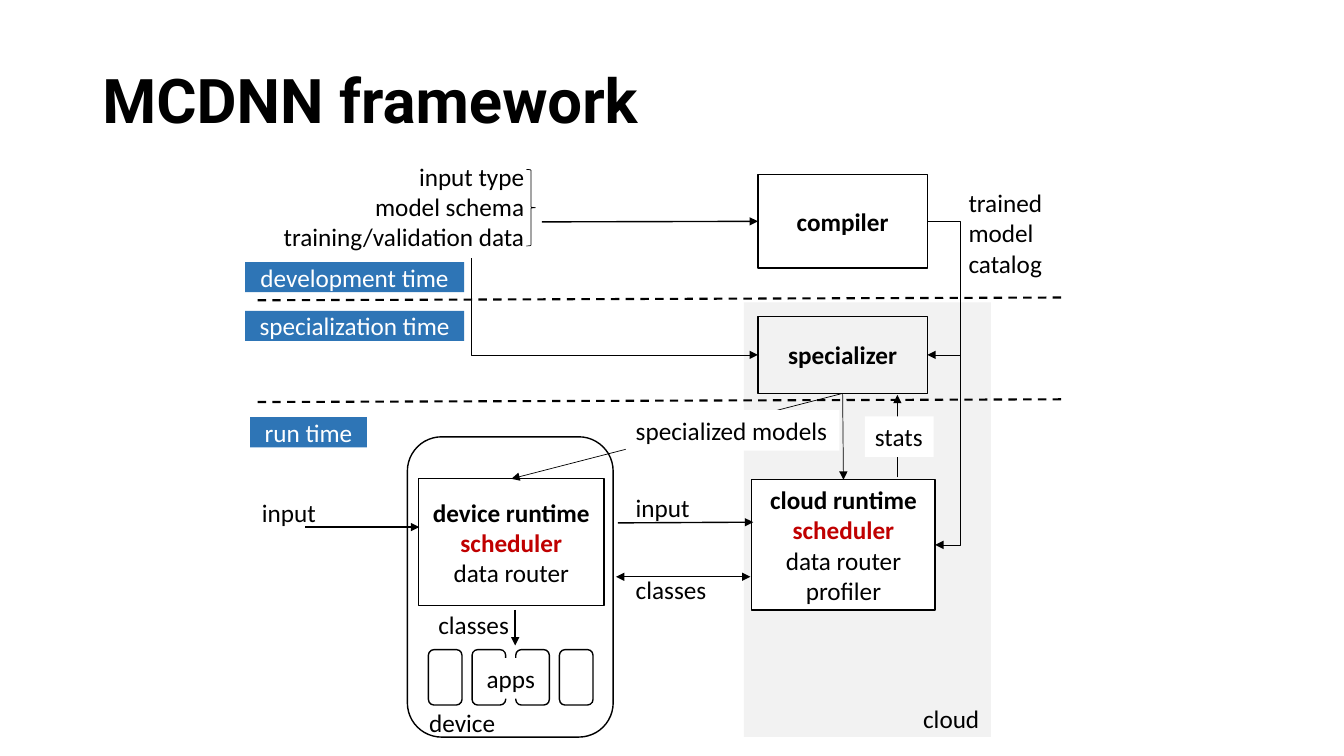
"""Build the MCDNN framework diagram slide."""
from lxml import etree
from pptx import Presentation
from pptx import util as u
from pptx.dml.color import RGBColor
from pptx.enum import dml, shapes, text
from pptx.oxml.ns import qn

COLORS = {"black": "000000", "white": "FFFFFF", "blue": "2E75B6",
          "gray": "F2F2F2", "red": "C00000"}
RECT = shapes.MSO_SHAPE.RECTANGLE
ROUND = shapes.MSO_SHAPE.ROUNDED_RECTANGLE
LEFT, CENTER, RIGHT = (text.PP_ALIGN.LEFT, text.PP_ALIGN.CENTER,
                       text.PP_ALIGN.RIGHT)
TOP_SIDE, LEFT_SIDE, BOTTOM_SIDE, RIGHT_SIDE = range(4)


def rgb(name):
    return RGBColor.from_string(COLORS[name])


def style(p, size=18, font="Calibri", color="black", bold=False):
    for r in p.runs:
        r.font.size = u.Pt(size)
        r.font.name = font
        r.font.bold = bold
        r.font.color.rgb = rgb(color)


def write(sp, lines, align, anchor, wrap, color="black", bold=(), red=()):
    tf = sp.text_frame
    tf.text = "\n".join(lines)
    tf.word_wrap = wrap
    tf.vertical_anchor = anchor
    for p in tf.paragraphs:
        p.alignment = align
        style(p, color="red" if p.text in red else color, bold=p.text in bold)


def add_box(s, at, fill=None, line=None, kind=RECT):
    sp = s.shapes.add_shape(kind, *map(u.Pt, at))
    sp.shadow.inherit = False
    if fill:
        sp.fill.solid()
        sp.fill.fore_color.rgb = rgb(fill)
    else:
        sp.fill.background()
    if line:
        sp.line.color.rgb = rgb("black")
        sp.line.width = u.Pt(line)
    else:
        sp.line.fill.background()
    return sp


def add_module(s, at, lines, fill=None):
    sp = add_box(s, at, fill, line=1)
    write(sp, lines, CENTER, text.MSO_ANCHOR.MIDDLE, True,
          bold=(lines[0], "scheduler"), red=("scheduler",))
    return sp


def add_phase(s, at, label):
    sp = add_box(s, at, "blue")
    write(sp, [label], CENTER, text.MSO_ANCHOR.MIDDLE, True, color="white")


def add_label(s, at, lines, align=LEFT, fill=None):
    if fill:
        sp = add_box(s, at, fill)
    else:
        sp = s.shapes.add_textbox(*map(u.Pt, at))
    write(sp, lines, align, text.MSO_ANCHOR.TOP, False)


def add_line(s, start, end, width=1.0, heads=("tailEnd",), dashed=False,
             kind=shapes.MSO_CONNECTOR.STRAIGHT, begin=None, finish=None):
    c = s.shapes.add_connector(kind, *map(u.Pt, start + end))
    if begin:
        c.begin_connect(*begin)
    if finish:
        c.end_connect(*finish)
    c.line.color.rgb = rgb("black")
    c.line.width = u.Pt(width)
    if dashed:
        c.line.dash_style = dml.MSO_LINE.DASH
    ln = c.line._get_or_add_ln()
    for head in heads:
        etree.SubElement(ln, qn("a:" + head), type="triangle")
    etree.SubElement(c._element.spPr, qn("a:effectLst"))
    return c


def add_elbow(s, start, end, bend_x, **joins):
    c = add_line(s, start, end, 0.5, kind=shapes.MSO_CONNECTOR.ELBOW, **joins)
    ratio = (u.Pt(bend_x) - c.begin_x) / (c.end_x - c.begin_x)
    geom = c._element.spPr.find(qn("a:prstGeom"))
    guides = geom.find(qn("a:avLst"))
    if guides is None:
        guides = etree.SubElement(geom, qn("a:avLst"))
    etree.SubElement(guides, qn("a:gd"), name="adj1",
                     fmla=f"val {round(ratio * 100000)}")


def add_title(s, title):
    sp = s.shapes.title
    sp.left, sp.top, sp.width, sp.height = map(u.Pt, (66, 27, 828, 94.5))
    tf = sp.text_frame
    tf.text = title
    tf.auto_size = text.MSO_AUTO_SIZE.NONE
    tf.vertical_anchor = text.MSO_ANCHOR.MIDDLE
    p = tf.paragraphs[0]
    p.alignment = LEFT
    p.line_spacing = 0.9
    style(p, 44, "Roboto", bold=True)


def add_device(s):
    add_box(s, (291, 312, 147, 214.5), line=1, kind=ROUND)
    for i in range(4):
        add_box(s, (306 + 31.2 * i, 464, 24, 39.6), line=1, kind=ROUND)
    add_label(s, (340.5, 470, 49.7, 29), ["apps"], fill="white")
    add_line(s, (368, 435.6), (368, 461))
    add_label(s, (306, 431.5, 65.5, 29), ["classes"])
    add_label(s, (299.5, 502, 62.6, 29), ["device"])
    return add_module(s, (299, 342, 132.5, 90.7),
                      ["device runtime", "scheduler", "data router"], "white")


def main():
    prs = Presentation()
    prs.slide_width, prs.slide_height = u.Pt(960), u.Pt(540)
    s = prs.slides.add_slide(prs.slide_layouts[5])
    add_title(s, "MCDNN framework")

    add_box(s, (531.4, 216, 176.4, 310.4), "gray")
    compiler = add_module(s, (541.4, 124.6, 121, 67), ["compiler"])
    cloud = add_module(s, (537, 342.7, 131, 93),
                       ["cloud runtime", "scheduler", "data router", "profiler"],
                       "white")
    device = add_device(s)
    for y in (214.5, 287.2):
        add_line(s, (184, y), (762, y - 2), 1.5, (), dashed=True)
    specializer = add_module(s, (541.4, 226, 121, 55), ["specializer"])

    add_line(s, (387, 158.5), (541.4, 158), finish=(compiler, LEFT_SIDE))
    add_line(s, (218, 376.5), (299.5, 376.5))
    add_line(s, (441.4, 373.5), (538, 373))
    add_line(s, (440, 412), (536, 412), heads=("headEnd", "tailEnd"))
    for runtime in (cloud, device):
        add_line(s, (602, 281), (602, 342), 0.5,
                 begin=(specializer, BOTTOM_SIDE), finish=(runtime, TOP_SIDE))
    add_line(s, (641, 341), (641, 282), 0.5)
    add_line(s, (685.5, 253.5), (662.4, 253.5), 0.5,
             finish=(specializer, RIGHT_SIDE))
    add_elbow(s, (662.4, 158), (668, 389), 686,
              begin=(compiler, RIGHT_SIDE), finish=(cloud, RIGHT_SIDE))
    add_elbow(s, (337, 184.5), (541.4, 253.5), 337,
              finish=(specializer, LEFT_SIDE))

    add_box(s, (376, 121, 6.5, 54.7), line=0.5,
            kind=shapes.MSO_SHAPE.RIGHT_BRACE)
    add_label(s, (193, 111.6, 188.6, 72.7),
              ["input type", "model schema", "training/validation data"], RIGHT)
    add_label(s, (684.7, 130.3, 74, 72.7), ["trained", "model", "catalog"])
    add_label(s, (180, 351.4, 84, 29), ["input"])
    add_label(s, (447, 347.8, 84, 29), ["input"])
    add_label(s, (447, 406.8, 65.5, 29), ["classes"])
    add_label(s, (652.3, 499, 55.4, 29), ["cloud"])
    add_label(s, (617.8, 297.4, 49, 29), ["stats"], fill="white")
    add_label(s, (447, 293, 152.6, 29), ["specialized models"], fill="white")

    add_phase(s, (175, 187.2, 156.5, 21.6), "development time")
    add_phase(s, (175, 222, 156.5, 21.6), "specialization time")
    add_phase(s, (178.6, 298, 83.5, 21.6), "run time")
    prs.save("out.pptx")


if __name__ == "__main__":
    main()
